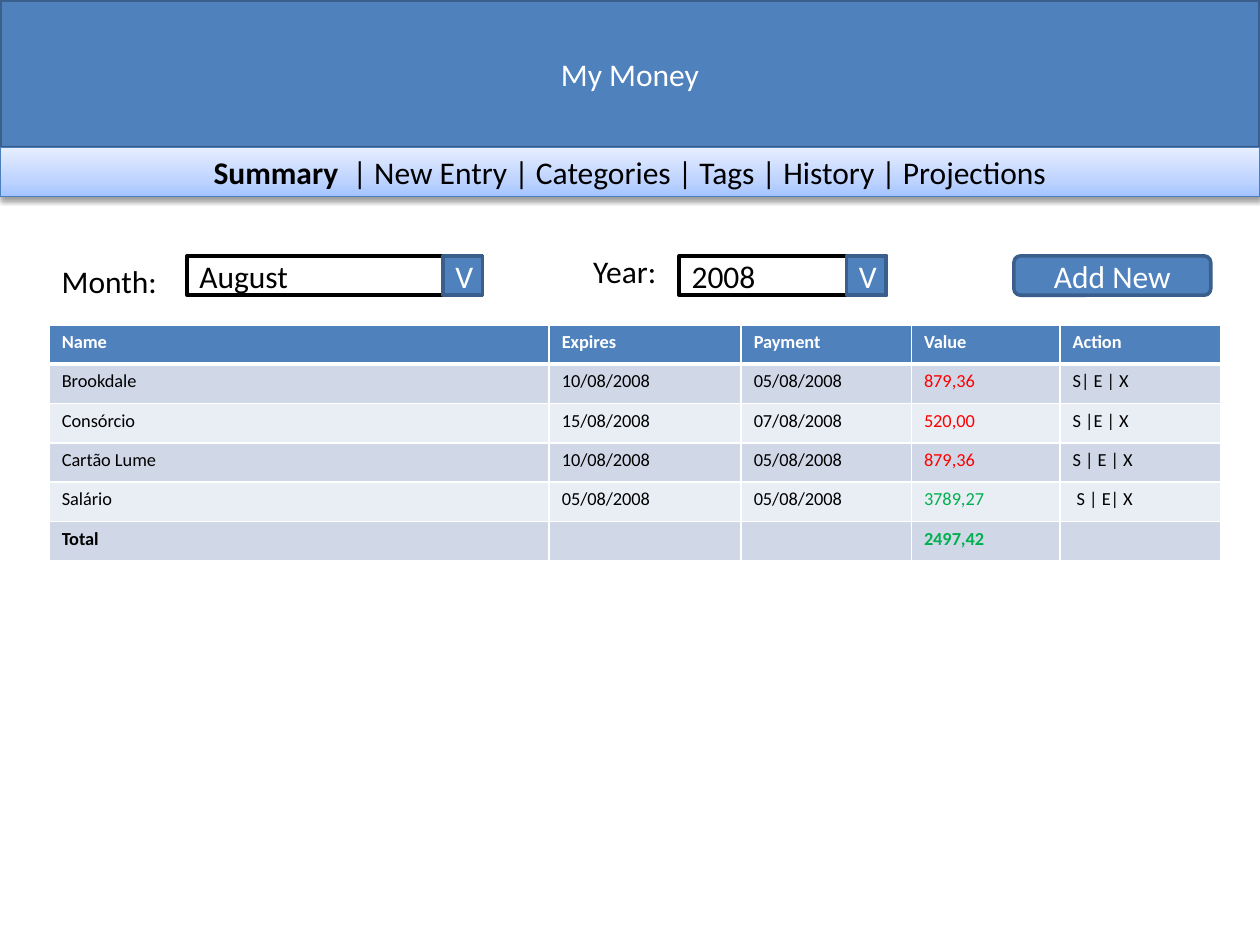
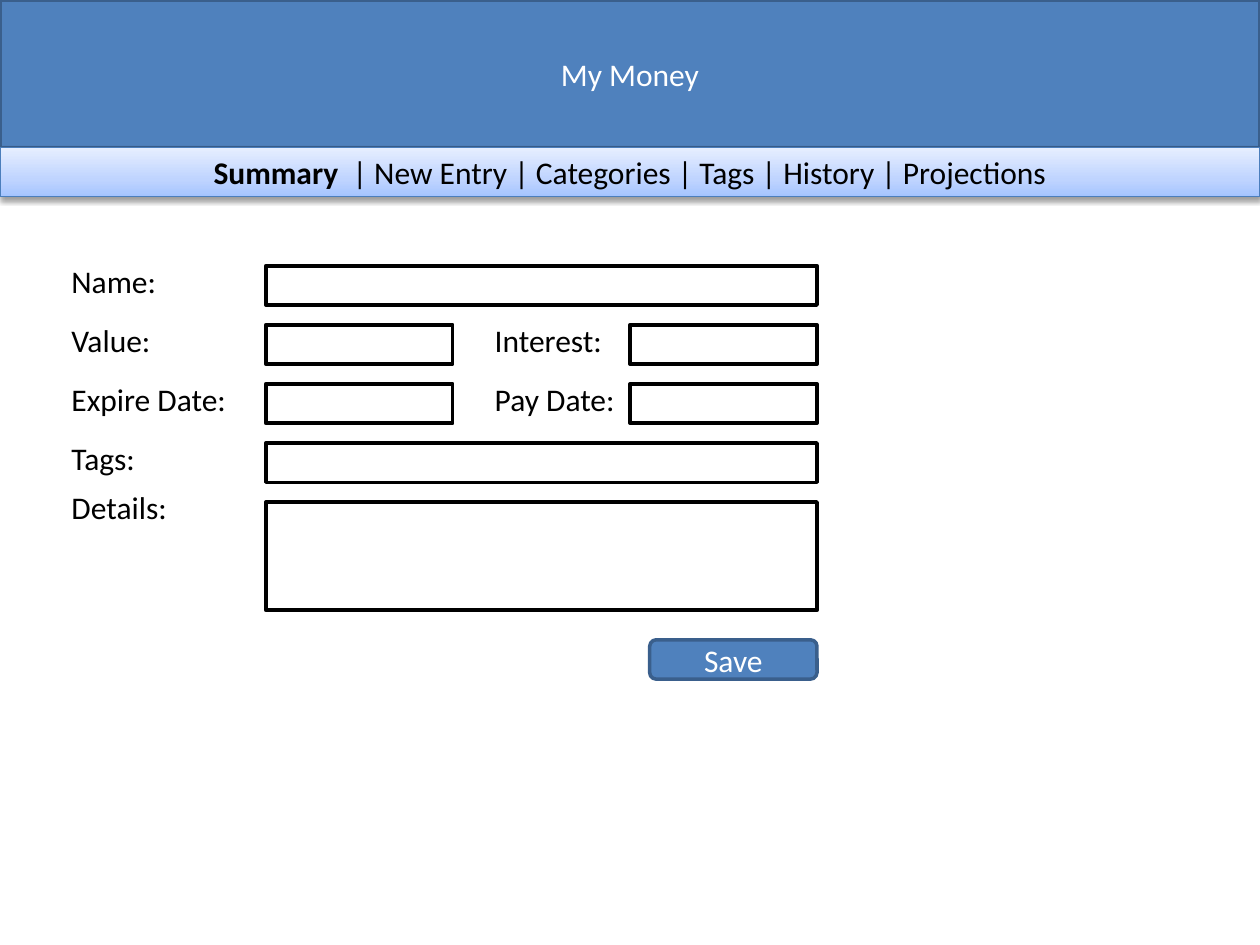
from copy import deepcopy
from lxml.etree import SubElement
from pptx import Presentation
from pptx.dml.color import RGBColor
from pptx.enum.shapes import MSO_SHAPE as SHAPE
from pptx.enum.text import MSO_ANCHOR as ANCHOR, MSO_AUTO_SIZE as FIT, PP_ALIGN as ALIGN
from pptx.oxml import parse_xml
from pptx.oxml.ns import nsdecls, qn
from pptx.util import Inches, Pt

WIDTH, HEIGHT = 10, 7.5
COLUMNS = 128
UNIT = WIDTH / COLUMNS
FIELD_H = 4
FONT, SIZE, TABLE_SIZE = "Calibri", 18, 10.5
BLUE, NAVY, NAV_EDGE = "4F81BD", "3A5F8C", "4B7EBC"
WHITE, BLACK, RED, GREEN = "FFFFFF", "000000", "FF0000", "00B050"
BANDS = ["E9EDF4", "D0D8E8"]
NAV_STOPS = [(0, "A4C4FF"), (35, "BFD4FF"), (100, "E6EEFF")]
NAV_ITEMS = ["New Entry", "Categories", "Tags", "History", "Projections"]

TABLE_COLUMNS = [50.8, 19.5, 17.3, 15.1, 16.3]
ENTRIES = [
    ["Name", "Expires", "Payment", "Value", "Action"],
    ["Brookdale", "10/08/2008", "05/08/2008", "879,36", "S| E | X"],
    ["Consórcio", "15/08/2008", "07/08/2008", "520,00", "S |E | X"],
    ["Cartão Lume", "10/08/2008", "05/08/2008", "879,36", "S | E | X"],
    ["Salário", "05/08/2008", "05/08/2008", "3789,27", " S | E| X"],
    ["Total", "", "", "2497,42", ""],
]
VALUE_COLORS = [WHITE, RED, RED, RED, GREEN, GREEN]


def rgb(value):
    return RGBColor.from_string(value)


def grid(*cells):
    return [Inches(c * UNIT) for c in cells]


def add_run(p, text, color=BLACK, size=SIZE, bold=False):
    r = p.add_run()
    r.text = text
    r.font.name, r.font.size, r.font.bold = FONT, Pt(size), bold
    r.font.color.rgb = rgb(color)


def add_box(slide, at, fill, line, line_width=2, kind=SHAPE.RECTANGLE):
    sp = slide.shapes.add_shape(kind, *grid(*at))
    sp.shadow.inherit = False
    sp.fill.solid()
    sp.fill.fore_color.rgb = rgb(fill)
    sp.line.color.rgb = rgb(line)
    sp.line.width = Pt(line_width)
    sp.text_frame.vertical_anchor = ANCHOR.MIDDLE
    return sp


def add_field(slide, x, y, w, h=FIELD_H, text=""):
    sp = add_box(slide, (x, y, w, h), WHITE, BLACK)
    if text:
        p = sp.text_frame.paragraphs[0]
        p.alignment = ALIGN.LEFT
        add_run(p, text)


def add_blue_box(slide, at, text, **style):
    sp = add_box(slide, at, BLUE, NAVY, **style)
    p = sp.text_frame.paragraphs[0]
    p.alignment = ALIGN.CENTER
    add_run(p, text, WHITE)


def add_button(slide, x, y, w, text):
    add_blue_box(slide, (x, y, w, FIELD_H), text, kind=SHAPE.ROUNDED_RECTANGLE)


def add_dropdown(slide, x, y, w, text):
    add_field(slide, x, y, w, text=text)
    add_blue_box(slide, (x + w - FIELD_H, y, FIELD_H, FIELD_H), "V")


def add_label(slide, x, y, w, text, wrap=True):
    tf = slide.shapes.add_textbox(*grid(x, y, w, 5.1)).text_frame
    tf.word_wrap = wrap
    tf.auto_size = FIT.SHAPE_TO_FIT_TEXT
    add_run(tf.paragraphs[0], text)


def add_header(slide):
    add_blue_box(slide, (0, 0, COLUMNS, 15), "My Money")
    nav = add_box(slide, (0, 15, COLUMNS, 5), WHITE, NAV_EDGE, 0.75)
    sp_pr = nav._element.spPr
    stops = "".join(f'<a:gs pos="{pos * 1000}"><a:srgbClr val="{color}"/></a:gs>'
                    for pos, color in NAV_STOPS)
    gradient = parse_xml(f'<a:gradFill {nsdecls("a")} rotWithShape="1"><a:gsLst>{stops}'
                         '</a:gsLst><a:lin ang="16200000" scaled="0"/></a:gradFill>')
    sp_pr.replace(sp_pr.find(qn("a:solidFill")), gradient)
    sp_pr.find(qn("a:effectLst")).append(parse_xml(
        f'<a:outerShdw {nsdecls("a")} blurRad="{Pt(3.1)}" dist="{Pt(1.6)}" dir="5400000" '
        'rotWithShape="0"><a:srgbClr val="000000"><a:alpha val="38000"/>'
        '</a:srgbClr></a:outerShdw>'))
    p = nav.text_frame.paragraphs[0]
    p.alignment = ALIGN.CENTER
    add_run(p, "Summary", bold=True)
    add_run(p, "  | " + " | ".join(NAV_ITEMS))


def set_borders(cell, row):
    widths = {"L": 1, "R": 1, "T": 3 if row == 1 else 1, "B": 3 if row == 0 else 1}
    tc_pr = cell._tc.get_or_add_tcPr()
    for i, (side, width) in enumerate(widths.items()):
        tc_pr.insert(i, parse_xml(
            f'<a:ln{side} {nsdecls("a")} w="{Pt(width)}"><a:solidFill>'
            f'<a:srgbClr val="{WHITE}"/></a:solidFill></a:ln{side}>'))


def add_entry_table(slide, x, y):
    count = len(ENTRIES)
    table = slide.shapes.add_table(
        count, len(TABLE_COLUMNS),
        *grid(x, y, sum(TABLE_COLUMNS), count * FIELD_H)).table
    for column, width in zip(table.columns, grid(*TABLE_COLUMNS)):
        column.width = width
    for i, entry in enumerate(ENTRIES):
        for j, text in enumerate(entry):
            cell = table.cell(i, j)
            cell.fill.solid()
            cell.fill.fore_color.rgb = rgb(BANDS[i % 2] if i else BLUE)
            set_borders(cell, i)
            p = cell.text_frame.paragraphs[0]
            if text:
                plain = BLACK if i else WHITE
                color = VALUE_COLORS[i] if j == 3 else plain
                add_run(p, text, color, TABLE_SIZE, i in (0, count - 1))
            else:
                SubElement(p._p, qn("a:endParaRPr"), sz=str(int(TABLE_SIZE * 100)))


def build_summary(slide):
    add_header(slide)
    add_entry_table(slide, 5, 33)
    add_label(slide, 5, 26, 12.4, "Month:", wrap=False)
    add_dropdown(slide, 19, 26, 30, "August")
    add_label(slide, 59, 25, 9.1, "Year:", wrap=False)
    add_dropdown(slide, 69, 26, 21, "2008")
    add_button(slide, 103, 26, 20, "Add New")


def build_entry_form(slide):
    add_header(slide)
    left, field, right, wide, narrow = 6, 27, 64, 56, 19
    top, pitch = 27, 6
    rows = [("Name:", ""), ("Value:", "Interest:"), ("Expire Date:", "Pay Date:"), ("Tags:", "")]
    for i, (first, second) in enumerate(rows):
        y = top + i * pitch
        add_label(slide, left, y - 1, narrow, first)
        add_field(slide, field, y, narrow if second else wide)
        if second:
            add_label(slide, 49, y - 1, 17, second)
            add_field(slide, right, y, narrow)
    y = top + len(rows) * pitch
    add_label(slide, left, y - 2, 17, "Details:")
    add_field(slide, field, y, wide, 11)
    add_button(slide, 66, y + 14, 17, "Save")


def main():
    prs = Presentation()
    prs.slide_width, prs.slide_height = Inches(WIDTH), Inches(HEIGHT)
    for build in (build_summary, build_entry_form):
        build(prs.slides.add_slide(prs.slide_layouts[6]))
    prs.save("out.pptx")


main()
